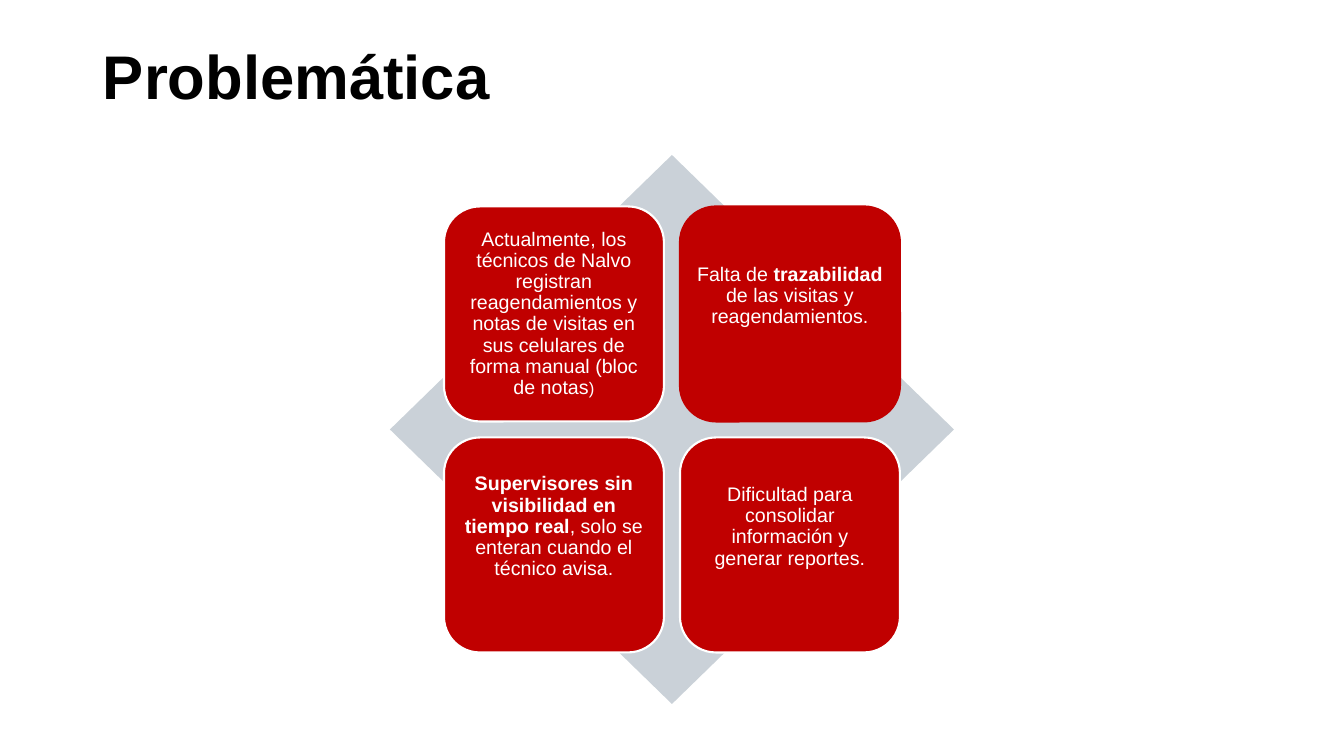
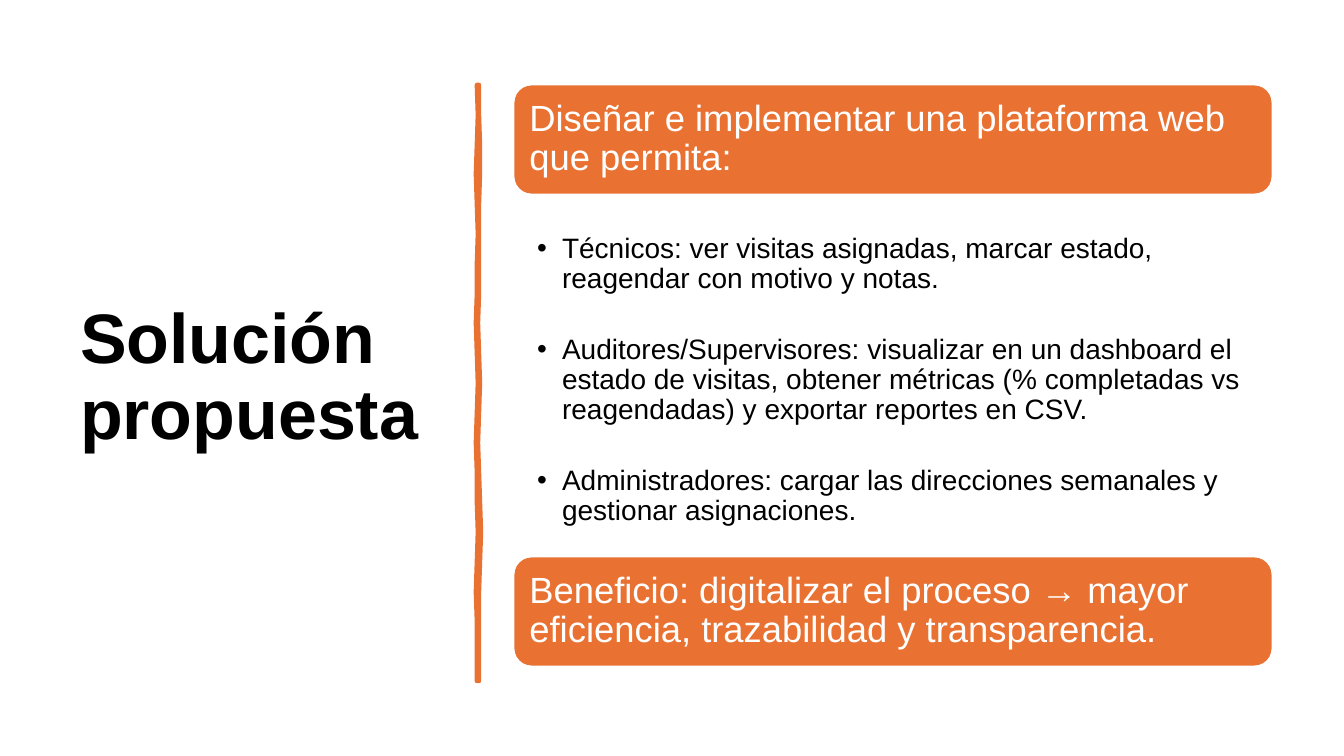
from collections import namedtuple
from itertools import product
from pptx import Presentation
from pptx.dml.color import RGBColor
from pptx.enum.shapes import MSO_SHAPE
from pptx.enum.text import MSO_ANCHOR, MSO_AUTO_SIZE, PP_ALIGN
from pptx.util import Pt

PX = 12192000 / 1344
FONT = "Arial"
BLACK = RGBColor(0x00, 0x00, 0x00)
WHITE = RGBColor(0xFF, 0xFF, 0xFF)
RED = RGBColor(0xC0, 0x00, 0x00)
ORANGE = RGBColor(0xE9, 0x71, 0x32)
GREY = RGBColor(0xCA, 0xD1, 0xD8)

Box = namedtuple("Box", "left top width height")

PROBLEMS = [
    ([("Actualmente, los técnicos de Nalvo registran reagendamientos y notas "
       "de visitas en sus celulares de forma manual (bloc de notas", False, 14),
      (")", False, 12)], WHITE, 5),
    ([("Falta de ", False, 14), ("trazabilidad", True, 14),
      (" de las visitas y reagendamientos.", False, 14)], RED, 41),
    ([("Supervisores sin visibilidad en tiempo real", True, 14),
      (", solo se enteran cuando el técnico avisa.", False, 14)], WHITE, 41),
    ([("Dificultad para consolidar información y generar reportes.", False, 14)],
     WHITE, 41),
]
GOAL = "Diseñar e implementar una plataforma web que permita:"
FEATURES = [
    "Técnicos: ver visitas asignadas, marcar estado, reagendar con motivo y notas.",
    "Auditores/Supervisores: visualizar en un dashboard el estado de visitas, "
    "obtener métricas (% completadas vs reagendadas) y exportar reportes en CSV.",
    "Administradores: cargar las direcciones semanales y gestionar asignaciones.",
]
BENEFIT = ("Beneficio: digitalizar el proceso → mayor eficiencia, "
           "trazabilidad y transparencia.")
RIGHT_SWAY = [0, 0, 1, 1, 0, 0, 0, 0, -1, 0, 1, 0, -1, 0, 1, 2, 1, 0, 0, 0, 0]
LEFT_SWAY = [0, 1, 0, -1, 0, 1, 0, 0, -1, 0, 1, 0, -1, 0, 0, 1, 0, -1, 0, 0, 0]


def px(length):
    return round(length * PX)


def place(shape, box):
    shape.left, shape.top, shape.width, shape.height = map(px, box)


def set_frame(frame, anchor, insets):
    frame.word_wrap = True
    frame.auto_size = MSO_AUTO_SIZE.NONE
    frame.vertical_anchor = anchor
    (frame.margin_left, frame.margin_top,
     frame.margin_right, frame.margin_bottom) = map(px, insets)


def style_para(para, size, color, align=PP_ALIGN.LEFT, bold=False):
    para.alignment = align
    para.line_spacing = 0.9
    para.space_before = Pt(0)
    para.font.name = FONT
    para.font.size = Pt(size)
    para.font.bold = bold
    para.font.color.rgb = color


def paint(shape, fill, line=None, weight=1):
    shape.shadow.inherit = False
    shape.fill.solid()
    shape.fill.fore_color.rgb = fill
    if line is None:
        shape.line.fill.background()
    else:
        shape.line.color.rgb = line
        shape.line.width = Pt(weight)


def add_preset(page, kind, box, fill, line=None, weight=1):
    shape = page.shapes.add_shape(kind, *map(px, box))
    paint(shape, fill, line, weight)
    return shape


def set_title(page, text, box, size, bottom_inset=5):
    title = page.shapes.title
    place(title, box)
    title.text = text
    set_frame(title.text_frame, MSO_ANCHOR.MIDDLE, (10, 5, 10, bottom_inset))
    style_para(title.text_frame.paragraphs[0], size, BLACK, bold=True)


def add_card(page, box, pieces, line, bottom_inset):
    card = add_preset(page, MSO_SHAPE.ROUNDED_RECTANGLE, box, RED, line, 1.5)
    set_frame(card.text_frame, MSO_ANCHOR.MIDDLE, (5, 5, 5, bottom_inset))
    para = card.text_frame.paragraphs[0]
    style_para(para, 14, WHITE, PP_ALIGN.CENTER)
    for text, bold, size in pieces:
        span = para.add_run()
        span.text = text
        span.font.bold = bold
        span.font.size = Pt(size)


def add_matrix(page, box):
    add_preset(page, MSO_SHAPE.DIAMOND, box, GREY)
    width, height, gap = 220, 215, 16
    left = box.left + (box.width - 2 * width - gap) / 2
    top = box.top + (box.height - 2 * height - gap) / 2
    for (row, column), problem in zip(product(range(2), repeat=2), PROBLEMS):
        card_box = Box(left + column * (width + gap), top + row * (height + gap),
                       width, height)
        add_card(page, card_box, *problem)


def add_divider(page, box):
    step = box.height / (len(RIGHT_SWAY) - 1)
    right = [(box.width + sway, i * step) for i, sway in enumerate(RIGHT_SWAY)]
    left = [(sway, i * step) for i, sway in enumerate(LEFT_SWAY)]
    outline = right + left[::-1]
    builder = page.shapes.build_freeform(*outline[0], scale=PX)
    builder.add_line_segments(outline[1:], close=True)
    paint(builder.convert_to_shape(px(box.left), px(box.top)), ORANGE, ORANGE, 3.25)


def add_banner(page, box, text):
    banner = add_preset(page, MSO_SHAPE.ROUNDED_RECTANGLE, box, ORANGE, WHITE, 2)
    banner.text_frame.text = text
    set_frame(banner.text_frame, MSO_ANCHOR.MIDDLE, (11, 11, 11, 11))
    style_para(banner.text_frame.paragraphs[0], 26, WHITE)


def fill_features(body, box):
    place(body, box)
    frame = body.text_frame
    frame.text = "\n".join(FEATURES)
    set_frame(frame, MSO_ANCHOR.TOP, (24, 39, 20, 4))
    for para in frame.paragraphs:
        style_para(para, 20, BLACK)
        para.space_after = Pt(29)
        properties = para._p.get_or_add_pPr()
        properties.set("marL", str(px(25)))
        properties.set("indent", str(-px(25)))


def add_proposal(page, box):
    banner_height = 111
    bottom = box.top + box.height - banner_height
    add_banner(page, box._replace(height=banner_height), GOAL)
    fill_features(page.placeholders[1],
                  Box(box.left, box.top + banner_height, box.width,
                      box.height - 2 * banner_height))
    add_banner(page, Box(box.left, bottom, box.width, banner_height), BENEFIT)


def build_problem(deck):
    page = deck.slides.add_slide(deck.slide_layouts[5])
    set_title(page, "Problemática", Box(93, 40, 1159, 146), 44, 72)
    add_matrix(page, Box(390, 155, 564, 549))


def build_solution(deck):
    page = deck.slides.add_slide(deck.slide_layouts[1])
    set_title(page, "Solución propuesta", Box(70, 71, 377, 616), 50)
    add_divider(page, Box(477, 85, 2, 596))
    add_proposal(page, Box(513, 84, 760, 583))


def main():
    deck = Presentation()
    deck.slide_width, deck.slide_height = px(1344), px(756)
    build_problem(deck)
    build_solution(deck)
    deck.save("out.pptx")


if __name__ == "__main__":
    main()
